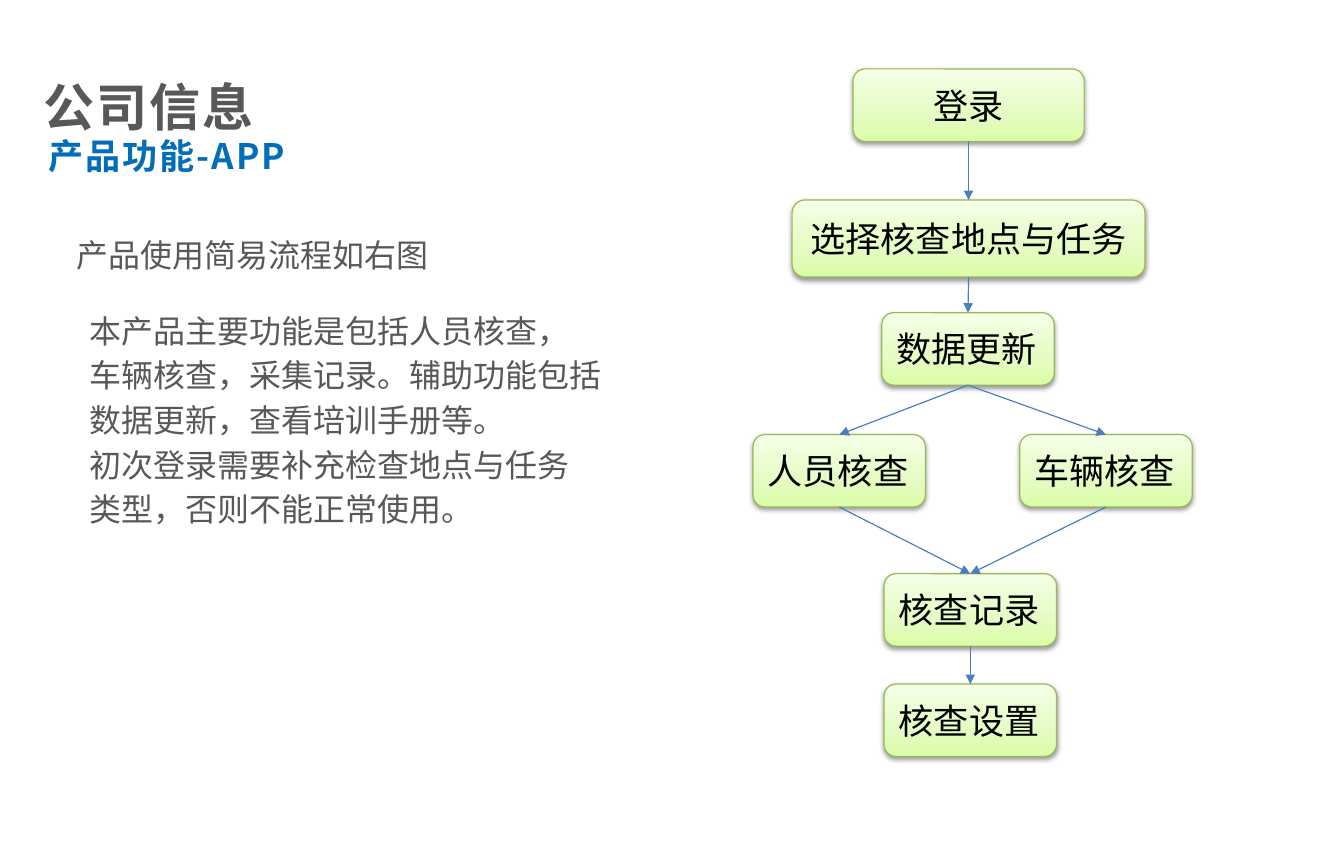
from pptx import Presentation
from pptx.dml.color import RGBColor
from pptx.enum.shapes import MSO_CONNECTOR, MSO_SHAPE
from pptx.enum.text import MSO_ANCHOR, PP_ALIGN
from pptx.oxml import parse_xml
from pptx.oxml.ns import nsdecls, qn
from pptx.util import Inches, Pt

STRAIGHT = MSO_CONNECTOR.STRAIGHT
ROUNDED = MSO_SHAPE.ROUNDED_RECTANGLE
TOP, MIDDLE = MSO_ANCHOR.TOP, MSO_ANCHOR.MIDDLE
LEFT, CENTER = PP_ALIGN.LEFT, PP_ALIGN.CENTER
TOP_SITE, BOTTOM_SITE = 0, 2
CJK_FONT = "Noto Sans CJK SC"
COLORS = {
    "background": "FFFFFF",
    "gray": "595757",
    "blue": "036EB8",
    "black": "000000",
    "border": "98B955",
    "arrow": "4B7EBC",
}
GRADIENT = [(0, "DAFDA7"), (35, "E4FCC2"), (100, "F5FFE7")]

STEPS = {
    "登录": (7.42, 0.6, 2.01, 0.63, CENTER),
    "选择核查地点与任务": (6.89, 1.74, 3.07, 0.67, CENTER),
    "人员核查": (6.55, 3.78, 1.5, 0.63, LEFT),
    "车辆核查": (8.87, 3.78, 1.5, 0.63, LEFT),
    "数据更新": (7.67, 2.72, 1.5, 0.63, LEFT),
    "核查记录": (7.69, 4.99, 1.5, 0.63, LEFT),
    "核查设置": (7.69, 5.95, 1.5, 0.63, LEFT),
}
FLOWS = [
    ("登录", "选择核查地点与任务"),
    ("选择核查地点与任务", "数据更新"),
    ("数据更新", "人员核查"),
    ("数据更新", "车辆核查"),
    ("人员核查", "核查记录"),
    ("车辆核查", "核查记录"),
    ("核查记录", "核查设置"),
]
DESCRIPTION = [
    "本产品主要功能是包括人员核查，",
    "车辆核查，采集记录。辅助功能包括",
    "数据更新，查看培训手册等。",
    "初次登录需要补充检查地点与任务",
    "类型，否则不能正常使用。",
]


def rgb(name):
    return RGBColor.from_string(COLORS[name])


def style_span(span, size, color, font=CJK_FONT, bold=False, tracking=0):
    span.font.size = Pt(size)
    span.font.bold = bold
    span.font.name = font
    span.font.color.rgb = rgb(color)
    properties = span.font._element
    properties.find(qn("a:latin")).addnext(
        parse_xml(f'<a:ea {nsdecls("a")} typeface="{CJK_FONT}"/>'))
    if tracking:
        properties.set("spc", str(round(tracking * 100)))


def add_text(page, bounds, lines, size, color, inset=0.05, anchor=TOP,
             indent=0, pitch=None, **style):
    box = page.shapes.add_textbox(*map(Inches, bounds))
    frame = box.text_frame
    frame.word_wrap = True
    frame.vertical_anchor = anchor
    frame.margin_top = Inches(inset)
    frame.text = "\n".join(lines)
    for para in frame.paragraphs:
        if indent:
            para._p.get_or_add_pPr().set("marL", str(Inches(indent)))
        if pitch:
            para.line_spacing = Pt(pitch)
        style_span(para.runs[0], size, color, **style)


def fill_gradient(shape):
    stops = "".join(
        f'<a:gs pos="{position * 1000}"><a:srgbClr val="{color}"/></a:gs>'
        for position, color in GRADIENT)
    shape.fill.background()
    properties = shape._element.spPr
    properties.replace(properties.find(qn("a:noFill")), parse_xml(
        f'<a:gradFill {nsdecls("a")} rotWithShape="1"><a:gsLst>{stops}</a:gsLst>'
        '<a:lin ang="16200000" scaled="0"/></a:gradFill>'))


def add_shadow(shape):
    shape.shadow.inherit = False
    shape._element.spPr.find(qn("a:effectLst")).append(parse_xml(
        f'<a:outerShdw {nsdecls("a")} blurRad="{Pt(3.1)}" dist="{Pt(1.6)}" '
        'dir="5400000" rotWithShape="0"><a:srgbClr val="000000">'
        '<a:alpha val="38000"/></a:srgbClr></a:outerShdw>'))


def add_step(page, label, left, top, width, height, align):
    shape = page.shapes.add_shape(
        ROUNDED, *map(Inches, (left, top, width, height)))
    fill_gradient(shape)
    shape.line.color.rgb = rgb("border")
    shape.line.width = Pt(0.75)
    add_shadow(shape)
    frame = shape.text_frame
    frame.word_wrap = True
    frame.vertical_anchor = MIDDLE
    frame.text = label
    para = frame.paragraphs[0]
    para.alignment = align
    style_span(para.runs[0], 22, "black", font="TeX Gyre Pagella")
    return shape


def add_arrow(page, source, target):
    arrow = page.shapes.add_connector(STRAIGHT, 0, 0, 0, 0)
    arrow.begin_connect(source, BOTTOM_SITE)
    arrow.end_connect(target, TOP_SITE)
    arrow.line.color.rgb = rgb("arrow")
    arrow.line.width = Pt(0.75)
    arrow.line._get_or_add_ln().append(
        parse_xml(f'<a:tailEnd {nsdecls("a")} type="triangle"/>'))
    arrow._element.spPr.append(parse_xml(f'<a:effectLst {nsdecls("a")}/>'))


def main():
    deck = Presentation()
    deck.slide_width = Inches(11.69)
    deck.slide_height = Inches(7.48)
    page = deck.slides.add_slide(deck.slide_layouts[6])
    page.background.fill.solid()
    page.background.fill.fore_color.rgb = rgb("background")

    add_text(page, (0.28, 0.61, 9.94, 0.63), ["公司信息"], 32, "gray",
             anchor=MIDDLE, bold=True, tracking=1.1)
    add_text(page, (0.32, 1.16, 8.1, 0.39), ["产品功能-APP"], 22, "blue",
             inset=0.01, bold=True, tracking=1.3)
    add_text(page, (0.3, 2.65, 5.23, 3.75), DESCRIPTION, 20, "gray",
             inset=0, indent=0.38, pitch=28, font="Arial")
    add_text(page, (0.57, 1.88, 6.73, 0.63), ["产品使用简易流程如右图"], 20,
             "gray", inset=0.17)

    steps = {label: add_step(page, label, *layout)
             for label, layout in STEPS.items()}
    for source, target in FLOWS:
        add_arrow(page, steps[source], steps[target])

    deck.save("out.pptx")


if __name__ == "__main__":
    main()
